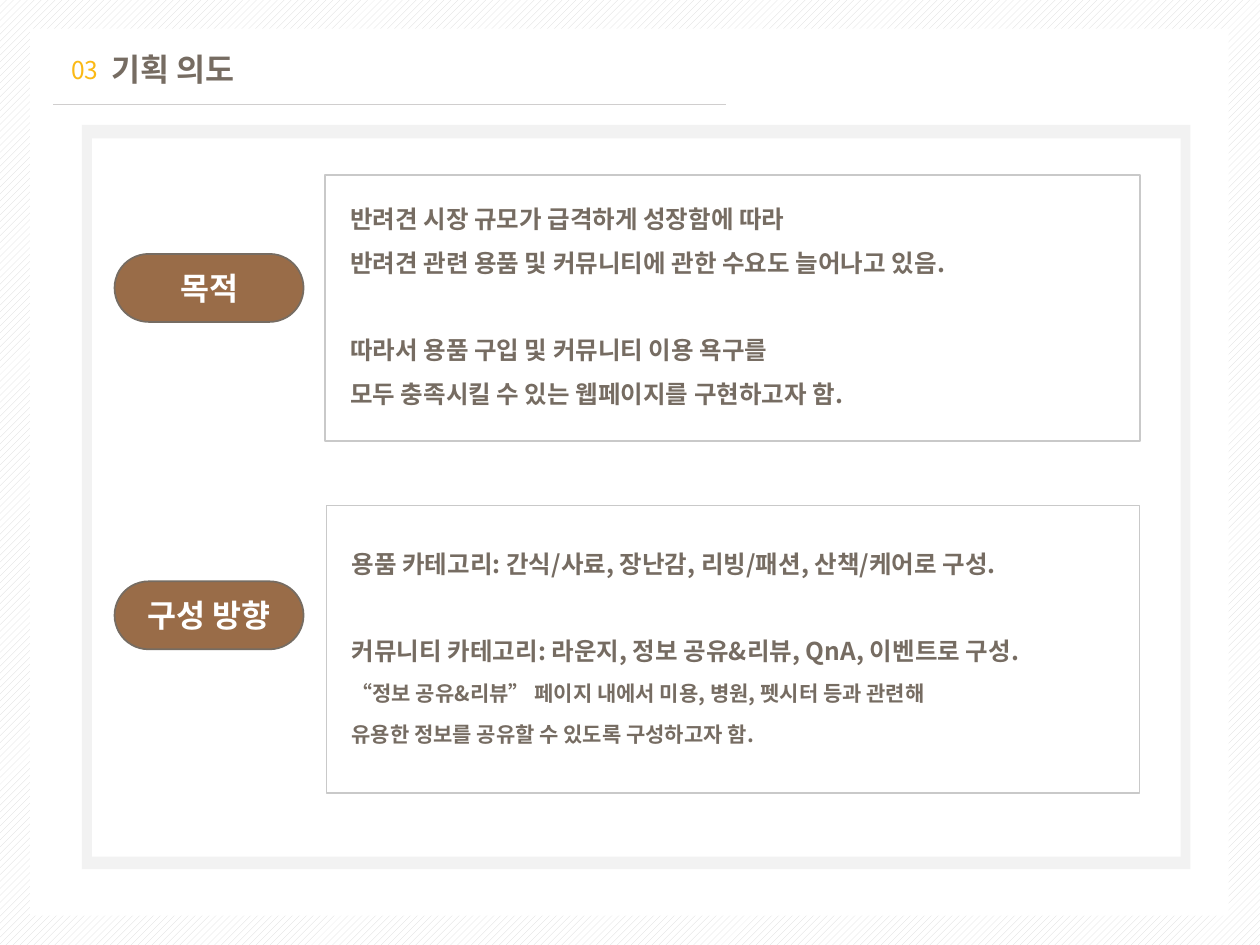
from lxml import etree
from pptx import Presentation
from pptx import util as u
from pptx.dml.color import RGBColor
from pptx.enum import dml, shapes, text
from pptx.oxml.ns import qn

FONT = "Noto Sans CJK KR"
BROWN, TAUPE, GOLD = "996C48", "766C62", "FBB915"
WHITE, PALE, GREY, RULE = "FFFFFF", "F2F2F2", "C9C9C9", "D0CECE"
RECT, PILL = shapes.MSO_SHAPE.RECTANGLE, shapes.MSO_SHAPE.ROUNDED_RECTANGLE
LEFT, CENTER = text.PP_ALIGN.LEFT, text.PP_ALIGN.CENTER
BODY_GAP, BLOCK_GAP = 10, 35  # points above a line, and above a new block

# left, top, width, height in cm; colour
PANELS = [
    ((0.61, 0.58, 24.16, 17.88), WHITE),
    ((1.65, 2.52, 22.35, 15.0), PALE),
    ((1.86, 2.79, 21.94, 14.48), WHITE),
]
# box, text, size, colour, bold, alignment
HEADINGS = [
    ((1.22, 1.06, 0.99, 0.75), "03", 14, GOLD, False, CENTER),
    ((2.24, 1.06, 10.6, 0.75), "기획 의도", 18, TAUPE, True, LEFT),
]
# label, label top, box, border width, lines of (text, size, space above)
SECTIONS = [
    ("목적", 5.12, (6.55, 3.53, 16.43, 5.36), 1, [
        ("반려견 시장 규모가 급격하게 성장함에 따라", 14, BODY_GAP),
        ("반려견 관련 용품 및 커뮤니티에 관한 수요도 늘어나고 있음.", 14, BODY_GAP),
        ("따라서 용품 구입 및 커뮤니티 이용 욕구를", 14, BLOCK_GAP),
        ("모두 충족시킬 수 있는 웹페이지를 구현하고자 함.", 14, BODY_GAP),
    ]),
    ("구성 방향", 11.72, (6.58, 10.19, 16.4, 5.8), 0.75, [
        ("용품 카테고리: 간식/사료, 장난감, 리빙/패션, 산책/케어로 구성.", 14, BODY_GAP),
        ("커뮤니티 카테고리: 라운지, 정보 공유&리뷰, QnA, 이벤트로 구성.", 14, BLOCK_GAP),
        ("“정보 공유&리뷰” 페이지 내에서 미용, 병원, 펫시터 등과 관련해", 12, BODY_GAP),
        ("유용한 정보를 공유할 수 있도록 구성하고자 함.", 12, BODY_GAP),
    ]),
]


def rgb(value):
    return RGBColor.from_string(value)


def add_box(s, kind, box, fill=None, line=None, width=1):
    sp = s.shapes.add_shape(kind, *map(u.Cm, box))
    sp.shadow.inherit = False
    if fill:
        sp.fill.solid()
        sp.fill.fore_color.rgb = rgb(fill)
    else:
        sp.fill.background()
    if line:
        sp.line.color.rgb = rgb(line)
        sp.line.width = u.Pt(width)
    else:
        sp.line.fill.background()
    return sp


def set_frame(sp, left=0):
    """Middle-anchor the text, with a left inset only."""
    tf = sp.text_frame
    tf.word_wrap = True
    tf.vertical_anchor = text.MSO_ANCHOR.MIDDLE
    tf.margin_left = u.Cm(left)
    tf.margin_top = tf.margin_right = tf.margin_bottom = 0
    return tf


def write(p, words, size, color, bold=True, align=LEFT, before=0, spacing=1.0):
    p.text = words
    p.alignment = align
    p.line_spacing = spacing
    p.space_before = u.Pt(before)
    p.font.name, p.font.size, p.font.bold = FONT, u.Pt(size), bold
    p.font.color.rgb = rgb(color)
    # Hangul takes the East Asian typeface
    defaults = p._p.pPr.find(qn("a:defRPr"))
    etree.SubElement(defaults, qn("a:ea")).set("typeface", FONT)


def add_rule(s, x1, x2, y):
    rule = s.shapes.add_connector(shapes.MSO_CONNECTOR.STRAIGHT,
                                  *map(u.Cm, (x1, y, x2, y)))
    rule.line.color.rgb = rgb(RULE)
    rule.line.width = u.Pt(0.25)
    etree.SubElement(rule._element.spPr, qn("a:effectLst"))


def add_section(s, label, top, box, width, lines):
    tf = set_frame(add_box(s, RECT, box, line=GREY, width=width), left=0.51)
    for i, (words, size, before) in enumerate(lines):
        p = tf.add_paragraph() if i else tf.paragraphs[0]
        write(p, words, size, TAUPE, before=before, spacing=0.9)
    pill = add_box(s, PILL, (2.31, top, 3.81, 1.37), BROWN, TAUPE)
    pill.adjustments[0] = 0.5
    write(set_frame(pill).paragraphs[0], label, 18, WHITE, align=CENTER)


def main():
    prs = Presentation()
    prs.slide_width, prs.slide_height = u.Cm(25.4), u.Cm(19.05)
    s = prs.slides.add_slide(prs.slide_layouts[6])
    bg = s.background.fill
    bg.patterned()
    bg.pattern = dml.MSO_PATTERN.WIDE_UPWARD_DIAGONAL
    bg.fore_color.rgb, bg.back_color.rgb = rgb("D9D9D9"), rgb(WHITE)

    for box, color in PANELS:
        add_box(s, RECT, box, color)
    add_rule(s, 1.07, 14.63, 2.11)
    for box, words, size, color, bold, align in HEADINGS:
        tf = set_frame(s.shapes.add_textbox(*map(u.Cm, box)))
        write(tf.paragraphs[0], words, size, color, bold, align, BODY_GAP, 0.9)
    for section in SECTIONS:
        add_section(s, *section)
    prs.save("out.pptx")


if __name__ == "__main__":
    main()
